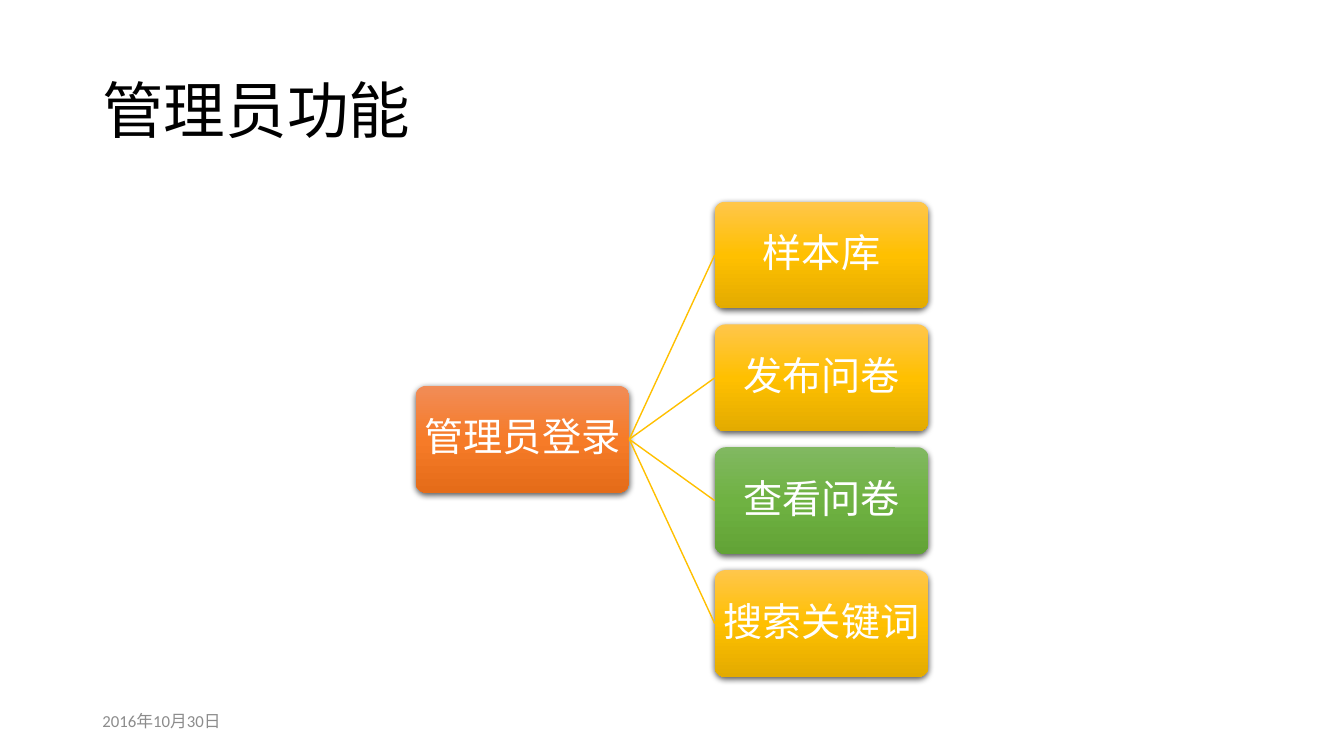
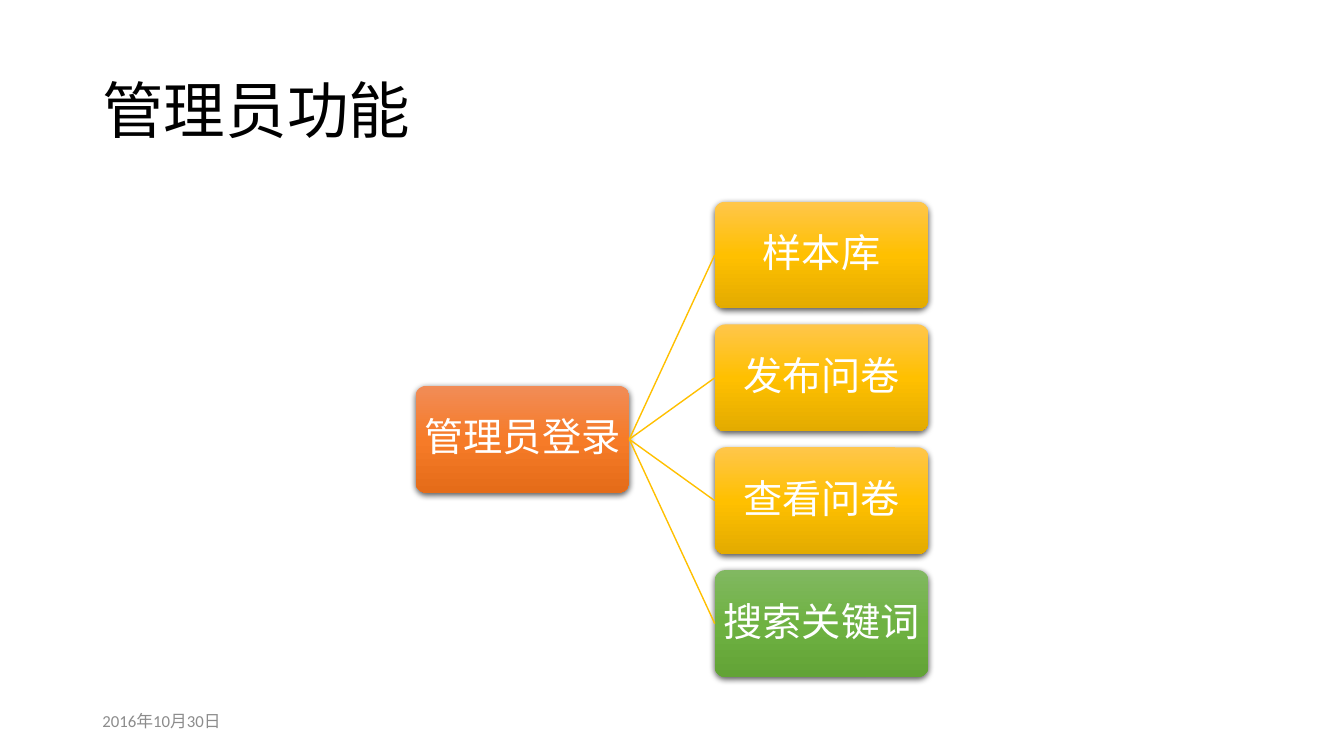
from copy import deepcopy

from pptx import Presentation
from pptx.dml.color import RGBColor
from pptx.enum.shapes import MSO_CONNECTOR as Link, MSO_SHAPE as Preset
from pptx.enum.text import MSO_ANCHOR as Anchor, PP_ALIGN as Align
from pptx.oxml import parse_xml
from pptx.oxml.ns import nsdecls, qn
from pptx.util import Pt

ORANGE = ("F18C57", "F67B28", "E56C19")
GOLD = ("FFC64B", "FFC000", "E3AB00")
GREEN = ("81B861", "6FB242", "62A336")
WHITE, BLACK, GREY = "FFFFFF", "000000", "8C8C8C"

TITLE = "管理员功能"
DATE = "2016年10月30日"
LOGIN = "管理员登录"
FUNCTIONS = ("样本库", "发布问卷", "查看问卷", "搜索关键词")
HIGHLIGHTS = ("查看问卷", "搜索关键词")

MARGIN = 66
NODE_W, NODE_H = 152.6, 76.3
LOGIN_LEFT, TREE_TOP = 296.9, 144
FUNCTION_LEFT = LOGIN_LEFT + 1.4 * NODE_W
PITCH = 1.15 * NODE_H
LOGIN_TOP = TREE_TOP + PITCH * (len(FUNCTIONS) - 1) / 2

NODE_FRAME = {
    "word_wrap": True,
    "vertical_anchor": Anchor.MIDDLE,
    "margin_left": Pt(4),
    "margin_right": Pt(4),
    "margin_top": Pt(4),
    "margin_bottom": Pt(4),
}
LINE_FRAME = {"word_wrap": True, "vertical_anchor": Anchor.MIDDLE}
NODE_PARAGRAPH = {"alignment": Align.CENTER, "line_spacing": 0.9}
TITLE_PARAGRAPH = {"line_spacing": 0.9}


def color(value):
    """Turn a hex string into a colour."""
    return RGBColor.from_string(value)


def apply(target, values):
    """Set each named attribute on the target."""
    for name, value in values.items():
        setattr(target, name, value)


def write(shape, text, size, ink, frame_values, paragraph_values):
    """Put one styled paragraph into a shape."""
    frame = shape.text_frame
    apply(frame, frame_values)
    paragraph = frame.paragraphs[0]
    apply(paragraph, paragraph_values)
    run = paragraph.add_run()
    run.text = text
    apply(run.font, {"size": Pt(size), "name": "Calibri"})
    run.font.color.rgb = color(ink)


def add_line_of_text(slide, box, text, size, ink, paragraph_values):
    """Add a text box holding a single line."""
    label = slide.shapes.add_textbox(*map(Pt, box))
    write(label, text, size, ink, LINE_FRAME, paragraph_values)


def paint_gradient(shape, shades):
    """Fill a shape from top to bottom with evenly spaced shades."""
    shape.fill.gradient()
    shape.fill.gradient_angle = 270
    stops = shape._element.spPr.find(qn("a:gradFill")).find(qn("a:gsLst"))
    stops.insert(1, deepcopy(stops[0]))
    for index, (stop, shade) in enumerate(zip(shape.fill.gradient_stops, shades)):
        stop.position = index / (len(shades) - 1)
        stop.color.rgb = color(shade)


def cast_shadow(shape):
    """Give a shape a soft shadow just below it."""
    shape.shadow.inherit = False
    effects = shape._element.spPr.find(qn("a:effectLst"))
    effects.append(parse_xml(
        f'<a:outerShdw {nsdecls("a")} blurRad="{Pt(4.5)}" dist="{Pt(1.5)}" '
        'dir="5400000" algn="ctr" rotWithShape="0">'
        f'<a:srgbClr val="{BLACK}"><a:alpha val="63000"/></a:srgbClr>'
        '</a:outerShdw>'))


def add_node(slide, left, top, text, shades):
    """Add one rounded node of the tree."""
    box = map(Pt, (left, top, NODE_W, NODE_H))
    node = slide.shapes.add_shape(Preset.ROUNDED_RECTANGLE, *box)
    node.adjustments[0] = 0.1
    node.line.fill.background()
    paint_gradient(node, shades)
    cast_shadow(node)
    write(node, text, 28, WHITE, NODE_FRAME, NODE_PARAGRAPH)
    return node


def add_branch(slide, parent, child):
    """Connect the right side of a parent to the left side of a child."""
    branch = slide.shapes.add_connector(Link.STRAIGHT, 0, 0, 0, 0)
    branch.begin_connect(parent, 3)
    branch.end_connect(child, 1)
    branch.line.width = Pt(1)
    branch.line.color.rgb = color(GOLD[1])
    branch._element.spPr.append(parse_xml(f'<a:effectLst {nsdecls("a")}/>'))


def add_tree(slide, highlight):
    """Draw the login node and its functions, one of them highlighted."""
    login = add_node(slide, LOGIN_LEFT, LOGIN_TOP, LOGIN, ORANGE)
    for row, name in enumerate(FUNCTIONS):
        shades = GREEN if name == highlight else GOLD
        top = TREE_TOP + row * PITCH
        function = add_node(slide, FUNCTION_LEFT, top, name, shades)
        add_branch(slide, login, function)


def main():
    """Build the deck."""
    deck = Presentation()
    apply(deck, {"slide_width": Pt(960), "slide_height": Pt(540)})
    for highlight in HIGHLIGHTS:
        slide = deck.slides.add_slide(deck.slide_layouts[6])
        add_line_of_text(slide, (MARGIN, 28.75, 828, 104.4), TITLE, 44, BLACK,
                         TITLE_PARAGRAPH)
        add_tree(slide, highlight)
        add_line_of_text(slide, (MARGIN, 500.5, 216, 28.75), DATE, 12, GREY, {})
    deck.save("out.pptx")


if __name__ == "__main__":
    main()
